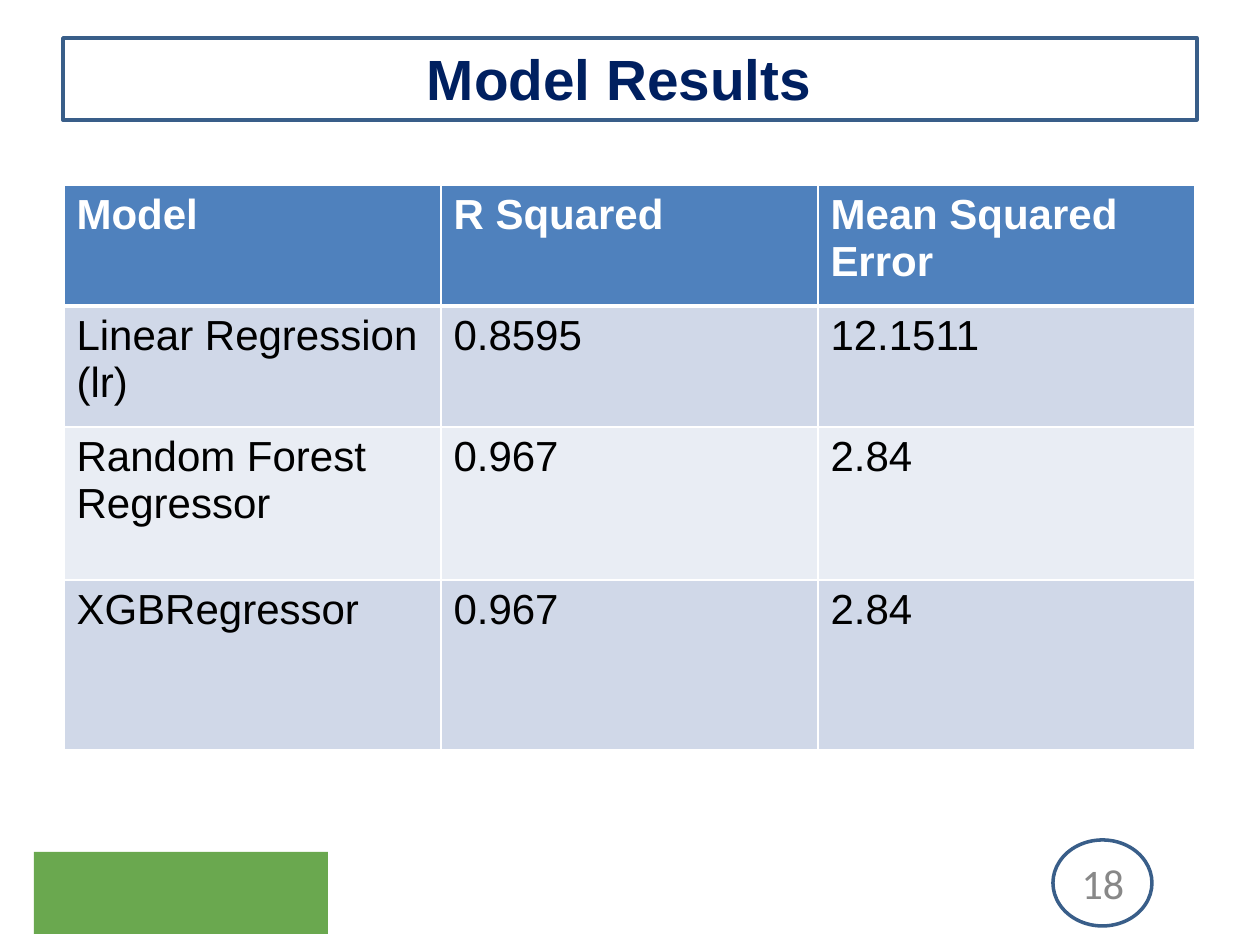
from dataclasses import dataclass

from lxml import etree
from pptx import Presentation
from pptx.dml.color import RGBColor
from pptx.enum.shapes import MSO_SHAPE
from pptx.enum.text import MSO_ANCHOR, PP_ALIGN
from pptx.oxml.ns import qn
from pptx.util import Emu, Pt

RECT, OVAL = MSO_SHAPE.RECTANGLE, MSO_SHAPE.OVAL
CENTER, LEFT = PP_ALIGN.CENTER, PP_ALIGN.LEFT
MIDDLE = MSO_ANCHOR.MIDDLE
PX = 914400 / 126
COLORS = {
    "green": "6AA84F", "outline": "395E89", "navy": "002060", "grey": "888888",
    "white": "FFFFFF", "black": "000000", "header": "4F81BD",
    "band_dark": "D0D8E8", "band_light": "E9EDF4",
}
ROWS = [
    ("Model", "R Squared", "Mean Squared Error"),
    ("Linear Regression (lr)", "0.8595", "12.1511"),
    ("Random Forest Regressor", "0.967", "2.84"),
    ("XGBRegressor", "0.967", "2.84"),
]
ROW_HEIGHTS = [121, 121, 153, 170]
COL_WIDTH = 377


@dataclass
class Box:
    """Position and size in px."""
    left: int
    top: int
    width: int
    height: int

    def emu(self) -> list[Emu]:
        """Return the four lengths in EMU."""
        return [px(v) for v in (self.left, self.top, self.width, self.height)]


@dataclass
class Panel:
    """A preset shape with an optional fill and outline."""
    kind: MSO_SHAPE
    box: Box
    fill: str = ""
    line: str = ""


PANELS = [
    Panel(RECT, Box(34, 852, 294, 82), fill="green"),
    Panel(RECT, Box(63, 38, 1134, 82), line="outline"),
    Panel(OVAL, Box(1053, 840, 99, 86), line="outline"),
]


def px(value: int) -> Emu:
    """Convert px to EMU."""
    return Emu(round(value * PX))


def rgb(name: str) -> RGBColor:
    """Look up a named colour."""
    return RGBColor.from_string(COLORS[name])


def write(tf, text: str, *, size: float = 24, color: str = "black",
          bold: bool = False, font: str = "Arial", align=LEFT) -> None:
    """Write one formatted paragraph."""
    p = tf.paragraphs[0]
    p.alignment = align
    r = p.add_run()
    r.text = text
    r.font.name, r.font.size, r.font.bold = font, Pt(size), bold
    r.font.color.rgb = rgb(color)


def add_panel(s, panel: Panel) -> None:
    """Draw a preset shape."""
    sp = s.shapes.add_shape(panel.kind, *panel.box.emu())
    sp.shadow.inherit = False
    if panel.fill:
        sp.fill.solid()
        sp.fill.fore_color.rgb = rgb(panel.fill)
    else:
        sp.fill.background()
    if panel.line:
        sp.line.color.rgb = rgb(panel.line)
        sp.line.width = Pt(2)
    else:
        sp.line.fill.background()


def add_label(s, box: Box, text: str, **fmt) -> None:
    """Draw a centred, vertically anchored text box."""
    tf = s.shapes.add_textbox(*box.emu()).text_frame
    tf.word_wrap = True
    tf.vertical_anchor = MIDDLE
    write(tf, text, align=CENTER, **fmt)


def add_border(cell, side: str, width: int) -> None:
    """Add a white border to one side of a cell."""
    tc_pr = cell._tc.get_or_add_tcPr()
    ln = etree.SubElement(tc_pr, qn(f"a:ln{side}"), w=str(Pt(width)))
    fill = etree.SubElement(ln, qn("a:solidFill"))
    etree.SubElement(fill, qn("a:srgbClr"), val=COLORS["white"])


def add_results(s, left: int, top: int) -> None:
    """Draw the table of model results."""
    cols = len(ROWS[0])
    box = Box(left, top, COL_WIDTH * cols, sum(ROW_HEIGHTS))
    table = s.shapes.add_table(len(ROWS), cols, *box.emu()).table
    for col in table.columns:
        col.width = px(COL_WIDTH)
    for i, (values, height) in enumerate(zip(ROWS, ROW_HEIGHTS)):
        table.rows[i].height = px(height)
        header = i == 0
        band = "header" if header else ("band_light", "band_dark")[i % 2]
        for j, value in enumerate(values):
            cell = table.cell(i, j)
            for side in "LRTB":
                thick = (side == "B" and header) or (side == "T" and i == 1)
                add_border(cell, side, 3 if thick else 1)
            cell.fill.solid()
            cell.fill.fore_color.rgb = rgb(band)
            write(cell.text_frame, value, bold=header,
                  color="white" if header else "black")


def main() -> None:
    """Build and save the slide."""
    prs = Presentation()
    prs.slide_width, prs.slide_height = px(1260), px(945)
    s = prs.slides.add_slide(prs.slide_layouts[6])
    for panel in PANELS:
        add_panel(s, panel)
    add_label(s, Box(1028, 853, 150, 60), "18", color="grey", font="Calibri")
    add_label(s, Box(63, 53, 1112, 50), "Model Results", size=32.4,
              color="navy", bold=True)
    add_results(s, 64, 185)
    prs.save("out.pptx")


if __name__ == "__main__":
    main()
